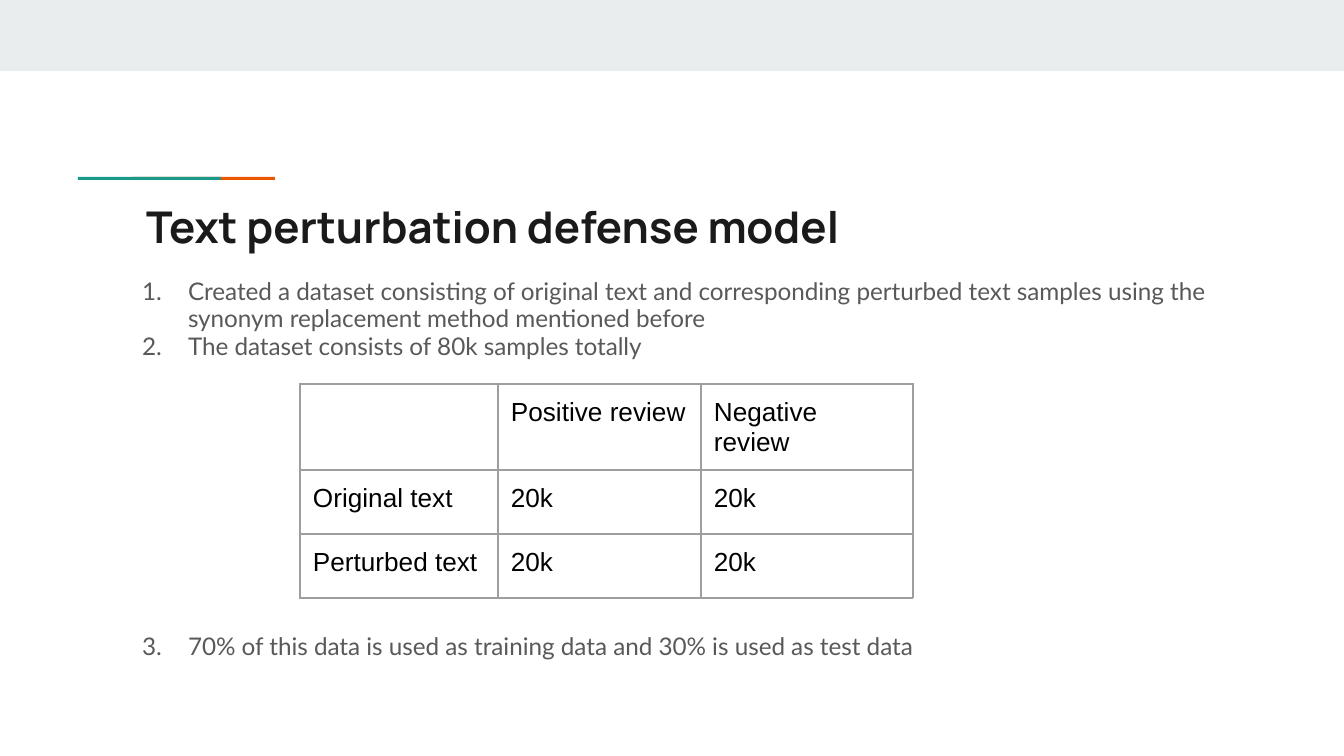
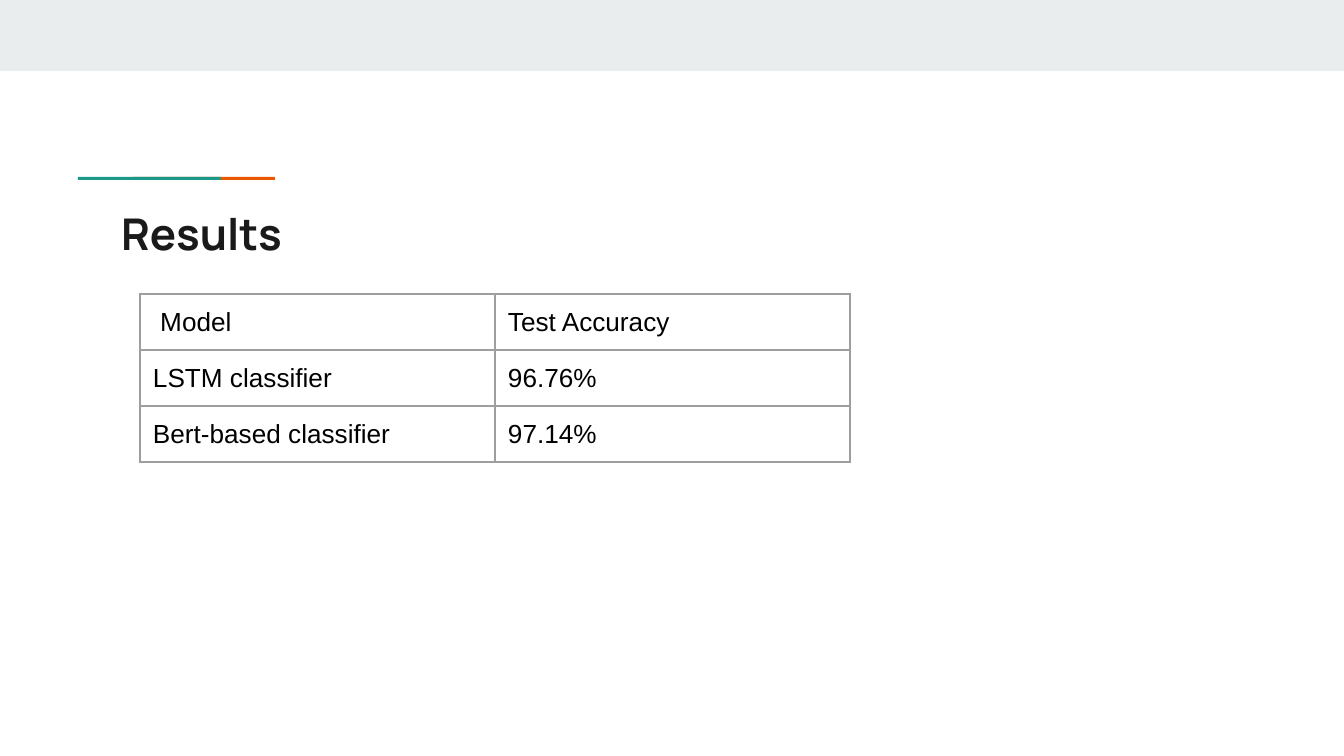
from lxml.etree import SubElement
from pptx import Presentation
from pptx.dml.color import RGBColor
from pptx.enum.shapes import MSO_SHAPE
from pptx.enum.text import MSO_ANCHOR, MSO_AUTO_SIZE, PP_ALIGN
from pptx.oxml.ns import qn
from pptx.util import Pt

PX = 914400 / 134.4
COLORS = {
    "band": "E9EDEE",
    "teal": "1A9988",
    "orange": "EB5600",
    "title": "1A1A1A",
    "body": "595959",
    "cell": "000000",
    "grid": "9E9E9E",
}
INSET = 13
TITLE_ONLY, TITLE_AND_BODY = 5, 1


def px(length):
    return round(length * PX)


def place(shape, left, top, width, height):
    shape.left, shape.top = px(left), px(top)
    shape.width, shape.height = px(width), px(height)


def add_span(para, text, font, size, color, bold=False):
    span = para.add_run()
    span.text = text
    span.font.name = font
    span.font.size = Pt(size)
    span.font.bold = bold
    span.font.color.rgb = RGBColor.from_string(COLORS[color])


def prepare_frame(frame):
    """Give a placeholder's text frame the shared insets and top anchor."""
    frame.word_wrap = True
    frame.auto_size = MSO_AUTO_SIZE.NONE
    frame.vertical_anchor = MSO_ANCHOR.TOP
    frame.margin_left = frame.margin_right = px(INSET)
    frame.margin_top = frame.margin_bottom = px(INSET)


def add_bar(page, color, left, top, width, height):
    bar = page.shapes.add_shape(
        MSO_SHAPE.RECTANGLE, px(left), px(top), px(width), px(height))
    bar.shadow.inherit = False
    bar.fill.solid()
    bar.fill.fore_color.rgb = RGBColor.from_string(COLORS[color])
    bar.line.fill.background()


def add_page(deck, layout, title, left, top):
    """Add a slide with the top band, the two-colour rule and its title."""
    page = deck.slides.add_slide(deck.slide_layouts[layout])
    add_bar(page, "band", 0, 0, 1344, 71)
    add_bar(page, "orange", 133, 177, 142, 3)
    add_bar(page, "teal", 78, 177, 143, 3)
    box = page.shapes.title
    place(box, left, top, 1130, 79)
    prepare_frame(box.text_frame)
    para = box.text_frame.paragraphs[0]
    para.alignment = PP_ALIGN.LEFT
    add_span(para, title, "Manrope", 23.4, "title", bold=True)
    return page


def number(para):
    """Turn a paragraph into an item of a numbered list."""
    props = para._p.get_or_add_pPr()
    props.set("marL", str(px(67)))
    props.set("indent", str(px(-46)))
    color = SubElement(props, qn("a:buClr"))
    SubElement(color, qn("a:srgbClr"), val=COLORS["body"])
    SubElement(props, qn("a:buFont"), typeface="Lato")
    SubElement(props, qn("a:buAutoNum"), type="arabicPeriod")


def fill_list(box, items):
    """Write (text, points of space before) pairs as a numbered list."""
    frame = box.text_frame
    prepare_frame(frame)
    for index, (text, gap) in enumerate(items):
        para = frame.add_paragraph() if index else frame.paragraphs[0]
        para.alignment = PP_ALIGN.LEFT
        para.line_spacing = 0.95
        para.space_before = Pt(gap)
        number(para)
        add_span(para, text, "Lato", 13, "body")


def draw_borders(cell):
    props = cell._tc.get_or_add_tcPr()
    for side in ("lnL", "lnR", "lnT", "lnB"):
        line = SubElement(props, qn(f"a:{side}"), w=str(Pt(0.75)))
        fill = SubElement(line, qn("a:solidFill"))
        SubElement(fill, qn("a:srgbClr"), val=COLORS["grid"])


def add_grid(page, left, top, widths, heights, rows):
    table = page.shapes.add_table(
        len(heights), len(widths), px(left), px(top),
        px(sum(widths)), px(sum(heights))).table
    table.first_row = table.horz_banding = False
    for column, width in zip(table.columns, widths):
        column.width = px(width)
    for row, height, texts in zip(table.rows, heights, rows):
        row.height = px(height)
        for cell, text in zip(row.cells, texts):
            draw_borders(cell)
            cell.fill.background()
            cell.margin_left, cell.margin_right = px(INSET), px(INSET + 1)
            cell.margin_top, cell.margin_bottom = px(INSET + 1), px(INSET - 1)
            if text:
                add_span(cell.text_frame.paragraphs[0], text, "Arial", 14, "cell")


def add_defense_page(deck):
    page = add_page(deck, TITLE_AND_BODY, "Text perturbation defense model", 133, 187)
    body = page.placeholders[1]
    place(body, 108, 265, 1130, 468)
    fill_list(body, [
        ("Created a dataset consisting of original text and corresponding "
         "perturbed text samples using the synonym replacement method "
         "mentioned before", 0),
        ("The dataset consists of 80k samples totally", 0),
        ("70% of this data is used as training data and 30% is used as test data", 146),
    ])
    add_grid(page, 300, 384, [198, 203, 212], [86, 64, 64], [
        ["", "Positive review", "Negative review"],
        ["Original text", "20k", "20k"],
        ["Perturbed text", "20k", "20k"],
    ])


def add_results_page(deck):
    page = add_page(deck, TITLE_ONLY, "Results", 108, 194)
    add_grid(page, 140, 294, [355] * 2, [56] * 3, [
        [" Model", "Test Accuracy"],
        ["LSTM classifier", "96.76%"],
        ["Bert-based classifier", "97.14%"],
    ])


def main():
    deck = Presentation()
    deck.slide_width, deck.slide_height = px(1344), px(756)
    add_defense_page(deck)
    add_results_page(deck)
    deck.save("out.pptx")


if __name__ == "__main__":
    main()
